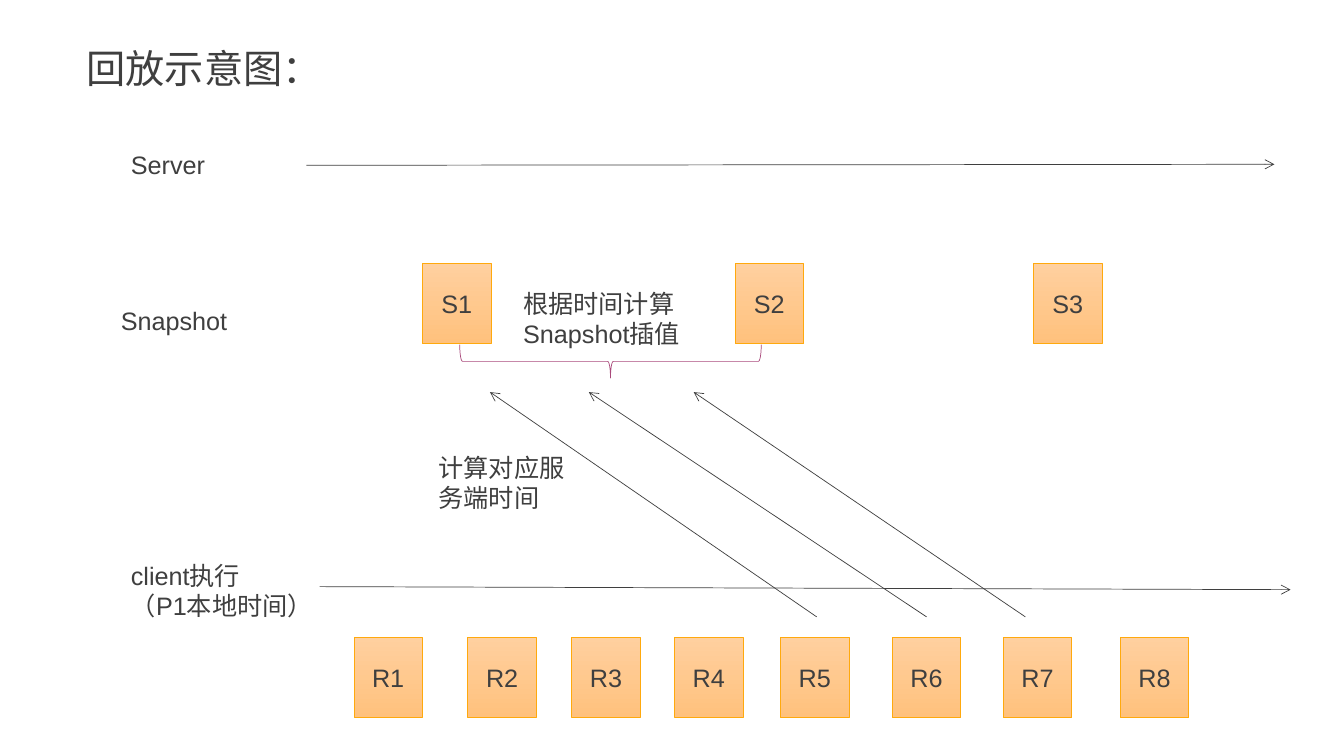
import pptx
import pptx.dml.color
import pptx.enum.shapes
import pptx.enum.text
import pptx.oxml
import pptx.oxml.ns
import pptx.util
from pptx.util import Inches

RGBColor = pptx.dml.color.RGBColor
INK = RGBColor(0x3F, 0x3F, 0x3F)
BOX_TOP = RGBColor(0xFF, 0xD0, 0x9F)
BOX_BOTTOM = RGBColor(0xFF, 0xC1, 0x7D)
BOX_EDGE = RGBColor(0xFF, 0xA9, 0x0D)
BRACE = RGBColor(0xA9, 0x49, 0x7B)

MSO_SHAPE = pptx.enum.shapes.MSO_SHAPE
ANCHOR = pptx.enum.text.MSO_ANCHOR
ALIGN = pptx.enum.text.PP_ALIGN


def write(frame, text, size=18, color=INK, font="Arial", align=ALIGN.LEFT,
          anchor=ANCHOR.TOP):
    """Fill a text frame, one paragraph per line of text."""
    frame.word_wrap = True
    frame.auto_size = pptx.enum.text.MSO_AUTO_SIZE.NONE
    frame.vertical_anchor = anchor
    frame.text = text
    for paragraph in frame.paragraphs:
        paragraph.alignment = align
        for run in paragraph.runs:
            run.font.size = pptx.util.Pt(size)
            run.font.name = font
            run.font.color.rgb = color


class TimelineSlide:
    """The current slide with the style of its boxes, labels and lines."""

    line_width = pptx.util.Pt(0.5)
    box_size = Inches(0.68), Inches(0.8)

    def __init__(self, deck):
        self.slide = deck.slides.add_slide(deck.slide_layouts[5])
        self.shapes = self.slide.shapes

    def title(self, text, left, top, width, height):
        heading = self.shapes.title
        heading.left, heading.top = Inches(left), Inches(top)
        heading.width, heading.height = Inches(width), Inches(height)
        write(heading.text_frame, text, size=28)

    def label(self, text, left, top, width, height):
        caption = self.shapes.add_textbox(
            Inches(left), Inches(top), Inches(width), Inches(height))
        write(caption.text_frame, text)

    def box(self, text, left, top):
        frame = self.shapes.add_shape(
            MSO_SHAPE.RECTANGLE, Inches(left), Inches(top), *self.box_size)
        frame.shadow.inherit = False
        frame.fill.gradient()
        frame.fill.gradient_angle = 270
        for stop, color in zip(frame.fill.gradient_stops, (BOX_TOP, BOX_BOTTOM)):
            stop.color.rgb = color
        frame.line.color.rgb = BOX_EDGE
        frame.line.width = self.line_width
        write(frame.text_frame, text, align=ALIGN.CENTER, anchor=ANCHOR.MIDDLE)

    def arrow(self, start, end):
        connector = self.shapes.add_connector(
            pptx.enum.shapes.MSO_CONNECTOR.STRAIGHT,
            *(Inches(value) for value in (*start, *end)))
        connector.line.color.rgb = INK
        connector.line.width = self.line_width
        head = pptx.oxml.ns.qn("a:tailEnd")
        connector.line._get_or_add_ln().append(
            pptx.oxml.xmlchemy.OxmlElement("a:tailEnd"))
        connector.line._get_or_add_ln().find(head).set("type", "arrow")
        connector._element.spPr.append(
            pptx.oxml.xmlchemy.OxmlElement("a:effectLst"))

    def brace(self, left, top, width, height):
        """Draw a brace that opens upwards; sizes are before its rotation."""
        span = self.shapes.add_shape(
            MSO_SHAPE.LEFT_BRACE,
            Inches(left), Inches(top), Inches(width), Inches(height))
        span.rotation = 270
        span.shadow.inherit = False
        span.fill.background()
        span.line.color.rgb = BRACE
        span.line.width = self.line_width


def main():
    deck = pptx.Presentation()
    deck.slide_width, deck.slide_height = Inches(13.33), Inches(7.5)
    replay = TimelineSlide(deck)

    replay.title("回放示意图：", 0.76, 0.39, 2.26, 0.57)

    replay.arrow((3.04, 1.64), (12.64, 1.63))
    replay.arrow((3.17, 5.82), (12.8, 5.85))
    replay.label("Server", 1.2, 1.43, 1.97, 0.4)
    replay.label("Snapshot", 1.1, 2.98, 1.97, 0.4)
    replay.label("client执行\n（P1本地时间）", 1.2, 5.51, 2.01, 0.71)

    snapshot_lefts = (4.19, 7.29, 10.25)
    client_lefts = (3.51, 4.64, 5.67, 6.69, 7.74, 8.85, 9.95, 11.11)
    for prefix, top, lefts in (("S", 2.61, snapshot_lefts),
                               ("R", 6.32, client_lefts)):
        for number, left in enumerate(lefts, start=1):
            replay.box(f"{prefix}{number}", left, top)

    for client_x, server_x in ((8.1, 4.86), (9.19, 5.84), (10.17, 6.88)):
        replay.arrow((client_x, 6.12), (server_x, 3.89))
    replay.label("计算对应服务端时间", 4.25, 4.44, 1.55, 0.71)

    replay.brace(5.89, 2.09, 0.33, 2.99)
    replay.label("根据时间计算Snapshot插值", 5.09, 2.81, 1.94, 0.71)

    deck.save("out.pptx")


if __name__ == "__main__":
    main()
